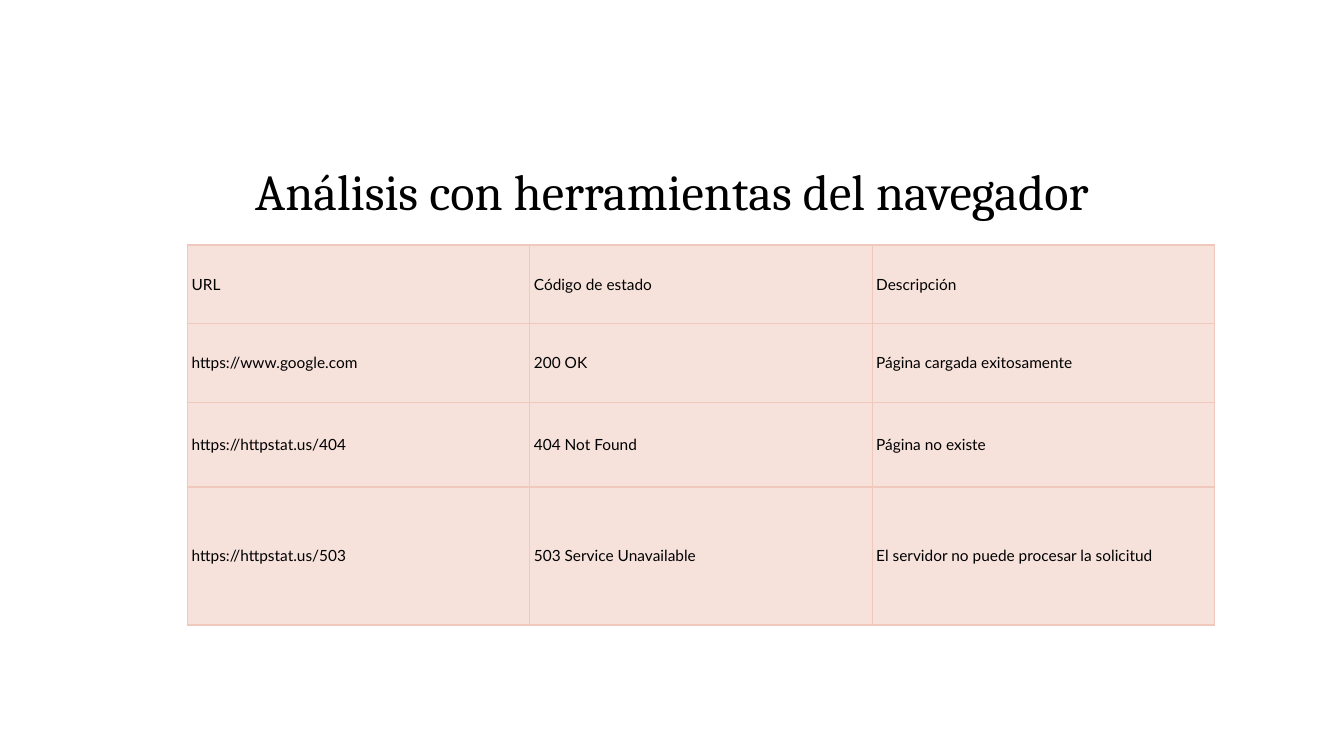
from dataclasses import dataclass

from lxml import etree
from pptx import Presentation
from pptx.dml.color import RGBColor
from pptx.enum.shapes import MSO_SHAPE
from pptx.enum.text import MSO_ANCHOR, PP_ALIGN
from pptx.oxml.ns import qn
from pptx.util import Pt

RECTANGLE = MSO_SHAPE.RECTANGLE
BOTTOM, MIDDLE = MSO_ANCHOR.BOTTOM, MSO_ANCHOR.MIDDLE
CENTER = PP_ALIGN.CENTER


@dataclass(frozen=True)
class Theme:
    panel: str = "FFFFFF"
    text: str = "000000"
    cell: str = "F6E1DB"
    border: str = "F0C8BC"
    title_font: str = "Cambria"
    body_font: str = "Lato"
    title_size: int = 36
    body_size: int = 11


class SlideBuilder:
    def __init__(self, s, theme):
        self.s = s
        self.theme = theme

    def style(self, p, font, size):
        for r in p.runs:
            r.font.name = font
            r.font.size = Pt(size)
            r.font.color.rgb = RGBColor.from_string(self.theme.text)

    def panel(self, x, y, w, h, opacity):
        sp = self.s.shapes.add_shape(RECTANGLE, Pt(x), Pt(y), Pt(w), Pt(h))
        sp.shadow.inherit = False
        sp.line.fill.background()
        sp.fill.solid()
        sp.fill.fore_color.rgb = RGBColor.from_string(self.theme.panel)
        color = sp.fill._xPr.find(f".//{qn('a:srgbClr')}")
        etree.SubElement(color, qn("a:alpha"), val=str(opacity * 1000))

    def title(self, x, y, w, h, text):
        tf = self.s.shapes.add_textbox(Pt(x), Pt(y), Pt(w), Pt(h)).text_frame
        tf.word_wrap = True
        tf.vertical_anchor = BOTTOM
        tf.text = text
        p = tf.paragraphs[0]
        p.alignment = CENTER
        p.line_spacing = 0.9
        self.style(p, self.theme.title_font, self.theme.title_size)

    def borders(self, cell):
        props = cell._tc.get_or_add_tcPr()
        for side in ("a:lnL", "a:lnR", "a:lnT", "a:lnB"):
            line = etree.SubElement(props, qn(side), w=str(Pt(1)))
            fill = etree.SubElement(line, qn("a:solidFill"))
            etree.SubElement(fill, qn("a:srgbClr"), val=self.theme.border)

    def cell(self, cell, text):
        cell.margin_left = cell.margin_right = Pt(2.88)
        cell.margin_top = cell.margin_bottom = Pt(1.44)
        cell.vertical_anchor = MIDDLE
        self.borders(cell)
        cell.fill.solid()
        cell.fill.fore_color.rgb = RGBColor.from_string(self.theme.cell)
        cell.text = text
        self.style(cell.text_frame.paragraphs[0], self.theme.body_font, self.theme.body_size)

    def table(self, x, y, col_width, heights, rows):
        cols = len(rows[0])
        table = self.s.shapes.add_table(
            len(rows), cols, Pt(x), Pt(y), Pt(col_width * cols), Pt(sum(heights))
        ).table
        for column in table.columns:
            column.width = Pt(col_width)
        for i, (height, row) in enumerate(zip(heights, rows)):
            table.rows[i].height = Pt(height)
            for j, text in enumerate(row):
                self.cell(table.cell(i, j), text)


STATUS_ROWS = [
    ("URL", "Código de estado", "Descripción"),
    ("https://www.google.com", "200 OK", "Página cargada exitosamente"),
    ("https://httpstat.us/404", "404 Not Found", "Página no existe"),
    ("https://httpstat.us/503", "503 Service Unavailable",
     "El servidor no puede procesar la solicitud"),
]


def main():
    prs = Presentation()
    prs.slide_width, prs.slide_height = Pt(960), Pt(540)
    slide = SlideBuilder(prs.slides.add_slide(prs.slide_layouts[6]), Theme())

    # Translucent backing panel
    slide.panel(72, 61, 816, 418, opacity=90)

    # Heading
    slide.title(100, 70, 760, 91.5, "Análisis con herramientas del navegador")

    # Status code table
    slide.table(134, 175, 244.5, (56.2, 56.2, 60.5, 98.6), STATUS_ROWS)

    prs.save("out.pptx")


if __name__ == "__main__":
    main()
